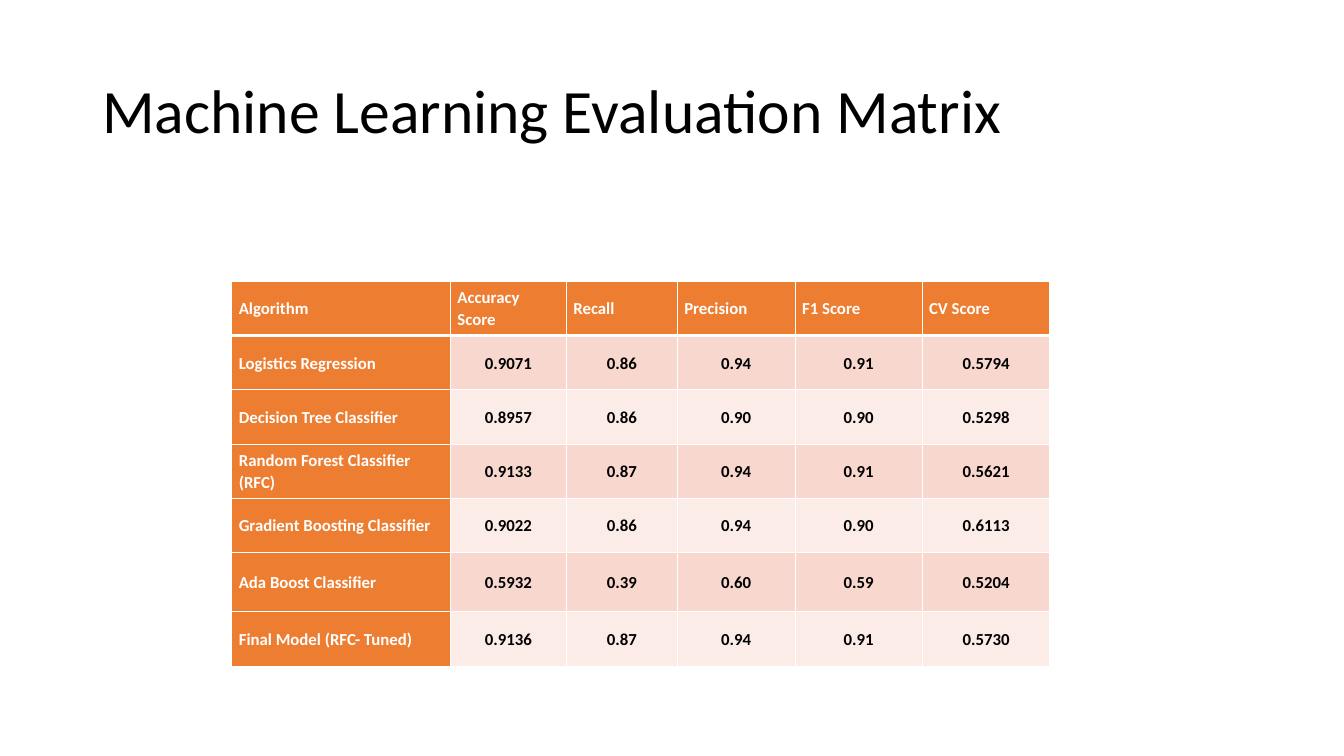
import pptx
import pptx.dml.color
import pptx.enum.text
import pptx.oxml
import pptx.oxml.ns
import pptx.util

Pt = pptx.util.Pt
ALIGN = pptx.enum.text.PP_ALIGN
MIDDLE = pptx.enum.text.MSO_ANCHOR.MIDDLE

COLOURS = {
    "text": "000000",
    "white": "FFFFFF",
    "header": "ED7D31",
    "odd_row": "F8D7CE",
    "even_row": "FCECE8",
}

HEADINGS = ["Algorithm", "Accuracy Score", "Recall", "Precision", "F1 Score", "CV Score"]
SCORES = [
    ["Logistics Regression", "0.9071", "0.86", "0.94", "0.91", "0.5794"],
    ["Decision Tree Classifier", "0.8957", "0.86", "0.90", "0.90", "0.5298"],
    ["Random Forest Classifier (RFC)", "0.9133", "0.87", "0.94", "0.91", "0.5621"],
    ["Gradient Boosting Classifier", "0.9022", "0.86", "0.94", "0.90", "0.6113"],
    ["Ada Boost Classifier", "0.5932", "0.39", "0.60", "0.59", "0.5204"],
    ["Final Model (RFC- Tuned)", "0.9136", "0.87", "0.94", "0.91", "0.5730"],
]
COLUMN_WIDTHS = [156.2, 82.8, 79.2, 84.2, 90.7, 91.4]
ROW_HEIGHTS = [38.8] * 5 + [42.3, 38.8]


def colour(name):
    return pptx.dml.color.RGBColor.from_string(COLOURS[name])


def apply(target, values):
    for name, value in values.items():
        setattr(target, name, value)


class Page:
    font = "Calibri"
    cell_format = {
        "margin_left": Pt(5),
        "margin_right": Pt(5),
        "margin_top": 0,
        "margin_bottom": 0,
        "vertical_anchor": MIDDLE,
    }

    def __init__(self, deck):
        self.slide = deck.slides.add_slide(deck.slide_layouts[6])

    def add_text(self, frame, text, ink, font_format, para_format):
        para = frame.paragraphs[0]
        apply(para, para_format)
        span = para.add_run()
        span.text = text
        apply(span.font, {"name": self.font, **font_format})
        span.font.color.rgb = colour(ink)

    def title(self, text, left, top, width, height):
        box = self.slide.shapes.add_textbox(Pt(left), Pt(top), Pt(width), Pt(height))
        apply(box.text_frame, {"word_wrap": True, "vertical_anchor": MIDDLE})
        self.add_text(box.text_frame, text, "text", {"size": Pt(44)}, {"line_spacing": 0.9})

    def borders(self, cell, widths):
        """Draw white cell borders; widths are for left, right, top, bottom."""
        properties = cell._tc.get_or_add_tcPr()
        for index, (side, width) in enumerate(zip("LRTB", widths)):
            line = pptx.oxml.parse_xml(
                f'<a:ln{side} {pptx.oxml.ns.nsdecls("a")} w="{Pt(width)}"><a:solidFill>'
                f'<a:srgbClr val="{COLOURS["white"]}"/></a:solidFill></a:ln{side}>'
            )
            properties.insert(index, line)

    def cell(self, cell, text, row, column):
        is_label = row == 0 or column == 0
        if is_label:
            fill, ink = "header", "white"
        else:
            fill, ink = ("odd_row" if row % 2 else "even_row"), "text"
        if row == 0:
            alignment = ALIGN.JUSTIFY
        else:
            alignment = ALIGN.LEFT if is_label else ALIGN.CENTER

        apply(cell, self.cell_format)
        cell.fill.solid()
        cell.fill.fore_color.rgb = colour(fill)
        self.add_text(
            cell.text_frame,
            text,
            ink,
            {"size": Pt(12), "bold": True},
            {"alignment": alignment, "line_spacing": 1.07, "space_after": Pt(8)},
        )
        self.borders(cell, [1, 1, 3 if row == 1 else 1, 3 if row == 0 else 1])

    def table(self, rows, left, top, widths, heights):
        table = self.slide.shapes.add_table(
            len(rows), len(widths), Pt(left), Pt(top), Pt(sum(widths)), Pt(sum(heights))
        ).table
        for column, width in zip(table.columns, widths):
            column.width = Pt(width)
        for row, height in zip(table.rows, heights):
            row.height = Pt(height)
        for row, texts in enumerate(rows):
            for column, text in enumerate(texts):
                self.cell(table.cell(row, column), text, row, column)


def main():
    deck = pptx.Presentation()
    apply(deck, {"slide_width": Pt(960), "slide_height": Pt(540)})
    page = Page(deck)
    page.title("Machine Learning Evaluation Matrix", 66, 28.75, 828, 104.4)
    page.table([HEADINGS] + SCORES, 165.6, 200.9, COLUMN_WIDTHS, ROW_HEIGHTS)
    deck.save("out.pptx")


if __name__ == "__main__":
    main()
